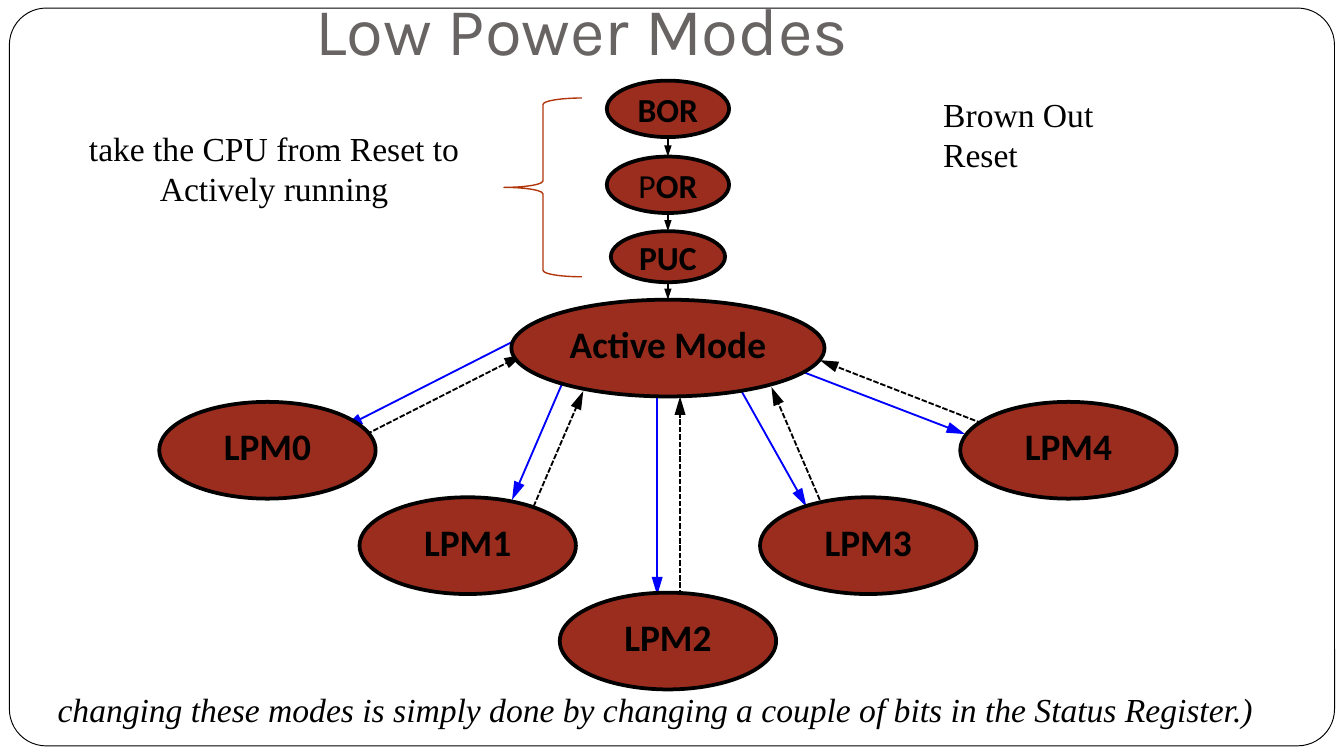
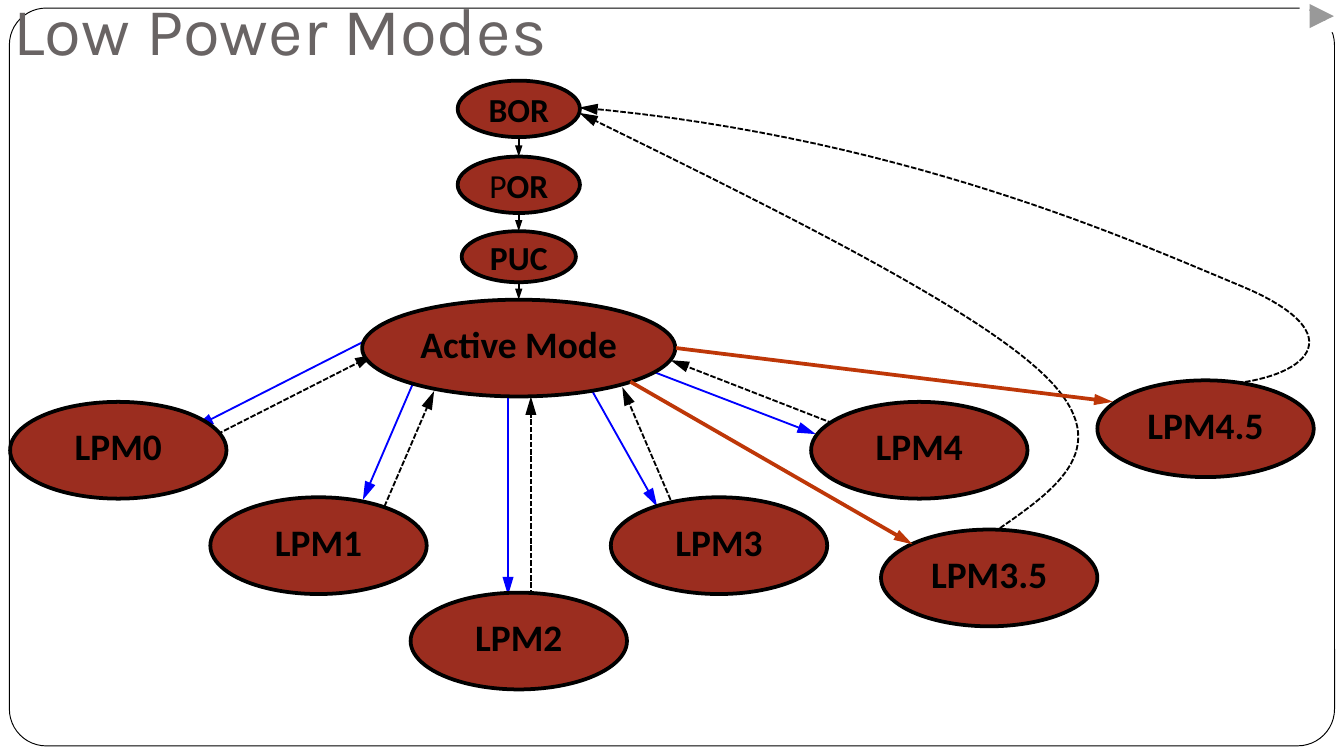
from dataclasses import dataclass
from typing import Any

from lxml import etree
from pptx import Presentation
from pptx.dml.color import RGBColor
from pptx.enum.dml import MSO_LINE
from pptx.enum.shapes import MSO_CONNECTOR, MSO_SHAPE
from pptx.enum.text import MSO_ANCHOR, MSO_AUTO_SIZE, PP_ALIGN
from pptx.oxml.ns import qn
from pptx.util import Emu, Inches, Pt

OVAL, BRACE = MSO_SHAPE.OVAL, MSO_SHAPE.LEFT_BRACE
FRAME, NEXT_BUTTON = MSO_SHAPE.ROUNDED_RECTANGLE, MSO_SHAPE.ACTION_BUTTON_FORWARD_OR_NEXT
STRAIGHT, DASHED = MSO_CONNECTOR.STRAIGHT, MSO_LINE.SQUARE_DOT
LEFT, CENTER = PP_ALIGN.LEFT, PP_ALIGN.CENTER
TOP, MIDDLE, BOTTOM = MSO_ANCHOR.TOP, MSO_ANCHOR.MIDDLE, MSO_ANCHOR.BOTTOM
FIXED, GROW = MSO_AUTO_SIZE.NONE, MSO_AUTO_SIZE.SHAPE_TO_FIT_TEXT

COLUMNS, ROWS, CELL = 100, 56.25, Inches(0.1)
TITLE_ONLY = 5
WHITE, BLACK, BLUE, GREY = "FFFFFF", "000000", "0000FF", "696464"
RUST, ORANGE, BRACE_COLOR = "9B2D1F", "BE3708", "B1360B"
TITLE_FONT, NODE_FONT, NOTE_FONT = "Karla", "Calibri", "Times New Roman"
TITLE_INSETS, NOTE_INSETS, NO_INSETS = (1, 0.5, 1, 1), (1, 0.5, 1, 0.5), (0, 0, 0, 0)

Point = tuple[float, float]
Box = tuple[float, float, float, float]


@dataclass(frozen=True)
class Node:
    """An oval state, placed by its centre."""

    label: str
    x: float
    y: float
    width: float = 16.1
    height: float = 7.2
    size: int = 20
    spacing: float | None = 0.8
    wrap: bool = True
    light: str = ""


@dataclass(frozen=True)
class Arrow:
    """A straight arrow between two grid points."""

    start: Point
    end: Point
    color: str = BLACK
    width: float = 1
    dashed: bool = False
    head: tuple[str, str] = ("med", "lg")


@dataclass(frozen=True)
class Curve:
    """A dashed return path made of cubic pieces."""

    start: Point
    pieces: tuple[tuple[Point, Point, Point], ...]


RESET_NODES = (
    Node("BOR", 0, 8.1, 9.1, 4.2, 18, None, False),
    Node("OR", 0, 13.75, 9.1, 4.2, 18, None, False, "P"),
    Node("PUC", 0, 19.1, 8.5, 3.8, 18, None, False),
)
ACTIVE_NODE = Node("Active Mode", 0, 25.9, 23.3)
MODE_NODES = tuple(
    Node(f"LPM{mode}", 14.9 * (mode - 2), 47.7 - 7.1 * abs(mode - 2)) for mode in range(5)
)
ENTER_POINTS = (
    ((-11.5, 25.4), (-24.1, 31.8)),
    ((-7.9, 28.6), (-11.6, 37.2)),
    ((-0.8, 29.5), (-0.8, 44.3)),
    ((5.3, 28.8), (10.3, 37.7)),
    ((8.8, 27.2), (22.1, 32.3)),
)
WAKE_POINTS = (
    ((-23.4, 32.8), (-10.8, 26.4)),
    ((-10, 37.7), (-6.3, 29.1)),
    ((0.9, 44.3), (0.9, 29.5)),
    ((11.3, 37.2), (7.7, 28.8)),
    ((24.4, 31.9), (11.3, 26.8)),
)
MODE_ARROWS = tuple(
    arrow
    for enter, wake in zip(ENTER_POINTS, WAKE_POINTS)
    for arrow in (Arrow(*enter, color=BLUE), Arrow(*wake, dashed=True))
)
STARTUP_NODES = (*RESET_NODES, ACTIVE_NODE)
STARTUP_ARROWS = tuple(
    Arrow((0, upper.y + upper.height / 2), (0, lower.y - lower.height / 2), head=("sm", "med"))
    for upper, lower in zip(STARTUP_NODES, STARTUP_NODES[1:])
)
DEEP_NODES = (Node("LPM3.5", 35, 43), Node("LPM4.5", 51.1, 31.9))
DEEP_ARROWS = (
    Arrow((8.3, 28.4), (29.3, 40.5), ORANGE, 2),
    Arrow((11.7, 25.9), (44.2, 29.9), ORANGE, 2),
)
DEEP_CURVES = (
    Curve(
        (35.8, 39.3),
        (
            ((40.1, 36.3), (44.5, 33.2), (39.2, 28)),
            ((34, 22.9), (19.2, 15.6), (4.5, 8.4)),
        ),
    ),
    Curve(
        (53.5, 28.5),
        (
            ((59, 27.8), (61.9, 24.7), (53.8, 21.3)),
            ((45.6, 17.9), (28.4, 10.1), (4.5, 8)),
        ),
    ),
)


def cells(count: float) -> Emu:
    """Turn grid cells into a length."""
    return Emu(round(count * CELL))


def rgb(color: str) -> RGBColor:
    """Turn a hex string into a colour."""
    return RGBColor.from_string(color)


def write(
    text_frame: Any,
    text: str,
    *,
    font: str,
    size: int,
    color: str = BLACK,
    bold: bool = False,
    italic: bool = False,
    light: str = "",
    align: Any = LEFT,
    anchor: Any = TOP,
    spacing: float | None = None,
    wrap: bool = True,
    fit: Any = FIXED,
    insets: Box = NOTE_INSETS,
) -> None:
    """Fill a text frame with one paragraph; light is an unbold prefix."""
    text_frame.word_wrap = wrap
    text_frame.auto_size = fit
    text_frame.vertical_anchor = anchor
    sides = ("margin_left", "margin_top", "margin_right", "margin_bottom")
    for side, inset in zip(sides, insets):
        setattr(text_frame, side, cells(inset))
    paragraph = text_frame.paragraphs[0]
    paragraph.alignment = align
    if spacing:
        paragraph.line_spacing = spacing
    for content, is_bold in ((light, False), (text, bold)):
        if content:
            run = paragraph.add_run()
            run.text = content
            run.font.name, run.font.size = font, Pt(size)
            run.font.bold, run.font.italic = is_bold, italic
            run.font.color.rgb = rgb(color)


def stroke(shape: Any, color: str, width: float, dashed: bool = False) -> None:
    """Set the outline of a shape or connector."""
    shape.line.color.rgb = rgb(color)
    shape.line.width = Pt(width)
    if dashed:
        shape.line.dash_style = DASHED


def add_head(shape: Any, head: tuple[str, str]) -> None:
    """Put a triangle at the end of a line."""
    width, length = head
    etree.SubElement(
        shape.get_or_add_ln(), qn("a:tailEnd"), {"type": "triangle", "w": width, "len": length}
    )


def add_preset(
    shapes: Any, kind: Any, box: Box, fill: str = "", line: str = "", width: float = 1
) -> Any:
    """Add a preset shape with plain fill and line."""
    shape = shapes.add_shape(kind, *map(cells, box))
    shape.shadow.inherit = False
    if fill:
        shape.fill.solid()
        shape.fill.fore_color.rgb = rgb(fill)
    else:
        shape.fill.background()
    if line:
        stroke(shape, line, width)
    else:
        shape.line.fill.background()
    return shape


def add_node(shapes: Any, node: Node, center: float) -> None:
    """Draw one oval state with its label."""
    box = (center + node.x - node.width / 2, node.y - node.height / 2, node.width, node.height)
    oval = add_preset(shapes, OVAL, box, RUST, BLACK, 2)
    write(
        oval.text_frame, node.label, font=NODE_FONT, size=node.size, bold=True, light=node.light,
        align=CENTER, anchor=MIDDLE, spacing=node.spacing, wrap=node.wrap, insets=NO_INSETS,
    )


def add_arrow(shapes: Any, arrow: Arrow, center: float) -> None:
    """Draw one straight arrow."""
    ends = [
        cells(value) for x, y in (arrow.start, arrow.end) for value in (center + x, y)
    ]
    connector = shapes.add_connector(STRAIGHT, *ends)
    stroke(connector, arrow.color, arrow.width, arrow.dashed)
    add_head(connector, arrow.head)
    etree.SubElement(connector.element.spPr, qn("a:effectLst"))


def curve_points(curve: Curve, steps: int = 30) -> list[Point]:
    """Sample the cubic pieces of a curve."""
    points = [curve.start]
    for first, second, end in curve.pieces:
        controls = (points[-1], first, second, end)
        for step in range(1, steps + 1):
            t = step / steps
            weights = ((1 - t) ** 3, 3 * t * (1 - t) ** 2, 3 * t**2 * (1 - t), t**3)
            x, y = (
                sum(weight * point[axis] for weight, point in zip(weights, controls))
                for axis in (0, 1)
            )
            points.append((x, y))
    return points


def add_curve(shapes: Any, curve: Curve, center: float) -> None:
    """Draw one dashed curve with an arrowhead."""
    points = [(cells(center + x), cells(y)) for x, y in curve_points(curve)]
    builder = shapes.build_freeform(*points[0], scale=1.0)
    builder.add_line_segments(points[1:], close=False)
    shape = builder.convert_to_shape()
    shape.shadow.inherit = False
    shape.fill.background()
    stroke(shape, BLACK, 1, dashed=True)
    add_head(shape, ("med", "lg"))


def add_note(slide: Any, text: str, box: Box, align: Any = LEFT, italic: bool = False) -> None:
    """Add a note beside the diagram."""
    note = slide.shapes.add_textbox(*map(cells, box))
    write(
        note.text_frame, text, font=NOTE_FONT, size=18, align=align, italic=italic, fit=GROW
    )


def add_mode_slide(presentation: Any, title_left: float, align: Any, center: float) -> Any:
    """Add a slide with frame, title and the shared mode diagram."""
    slide = presentation.slides.add_slide(presentation.slide_layouts[TITLE_ONLY])
    title = slide.shapes.title
    title.left, title.top, title.width, title.height = map(cells, (title_left, 0, COLUMNS, 6.1))
    write(
        title.text_frame, "Low Power Modes", font=TITLE_FONT, size=36, color=GREY,
        align=align, anchor=BOTTOM, insets=TITLE_INSETS,
    )
    frame = add_preset(slide.shapes, FRAME, (0.7, 0.6, 98.6, 54.9), WHITE, BLACK, 0.5)
    frame.adjustments[0] = 0.05
    title.element.addprevious(frame.element)
    diagram = slide.shapes.add_group_shape().shapes
    for arrow in (*MODE_ARROWS, *STARTUP_ARROWS):
        add_arrow(diagram, arrow, center)
    for node in (*STARTUP_NODES, *MODE_NODES):
        add_node(diagram, node, center)
    return slide, diagram


def main() -> None:
    """Build both slides and save them."""
    presentation = Presentation()
    presentation.slide_width, presentation.slide_height = cells(COLUMNS), cells(ROWS)

    slide, _ = add_mode_slide(presentation, -6.7, CENTER, 49.7)
    add_note(slide, "Brown Out Reset", (69.2, 6.5, 18, 4))
    add_note(slide, "take the CPU from Reset to Actively running", (5, 9, 30.8, 7.1), CENTER)
    add_preset(slide.shapes, BRACE, (37.5, 7.3, 5.8, 13.3), line=BRACE_COLOR, width=0.75)
    add_note(
        slide,
        "changing these modes is simply done by changing a couple of bits in the Status Register.)",
        (3.3, 50.8, 94.2, 4),
        italic=True,
    )

    center = 38.6
    slide, diagram = add_mode_slide(presentation, 0, LEFT, center)
    for node in DEEP_NODES:
        add_node(diagram, node, center)
    for curve in DEEP_CURVES:
        add_curve(diagram, curve, center)
    for arrow in DEEP_ARROWS:
        add_arrow(diagram, arrow, center)
    add_preset(slide.shapes, NEXT_BUTTON, (96.7, 0, 3.3, 2.4), WHITE)
    presentation.save("out.pptx")


if __name__ == "__main__":
    main()
